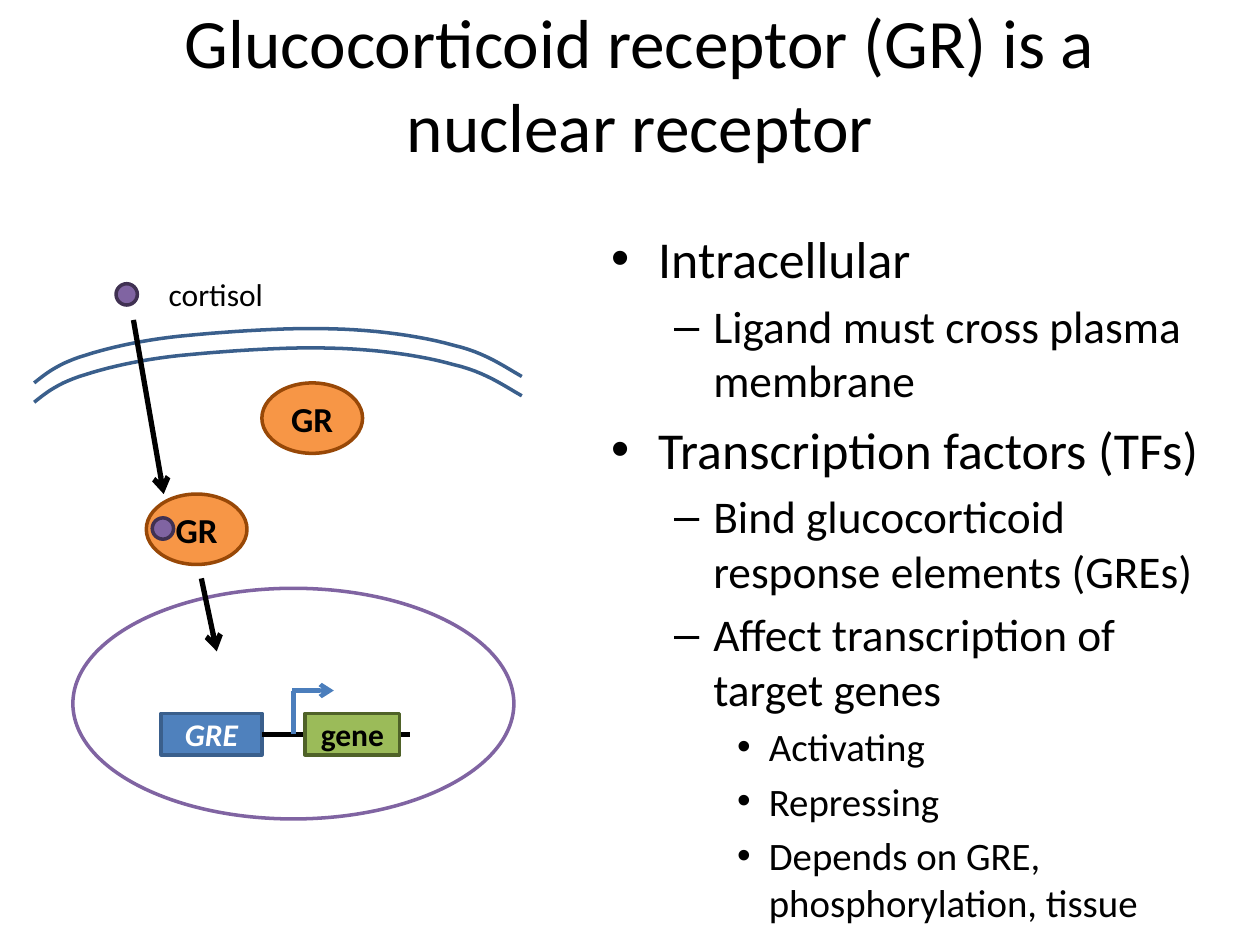
from lxml import etree
from pptx import Presentation
from pptx.dml.color import RGBColor
from pptx.enum.shapes import MSO_CONNECTOR, MSO_SHAPE
from pptx.enum.text import MSO_ANCHOR, PP_ALIGN
from pptx.oxml.ns import qn
from pptx.util import Cm, Pt

RECT, OVAL = MSO_SHAPE.RECTANGLE, MSO_SHAPE.OVAL
STRAIGHT = MSO_CONNECTOR.STRAIGHT
TOP, MIDDLE = MSO_ANCHOR.TOP, MSO_ANCHOR.MIDDLE
LEFT, CENTER = PP_ALIGN.LEFT, PP_ALIGN.CENTER
RIGHT_SIDE = 3

BLACK = RGBColor(0x00, 0x00, 0x00)
WHITE = RGBColor(0xFF, 0xFF, 0xFF)
BLUE = RGBColor(0x4F, 0x81, 0xBD)
DARK_BLUE = RGBColor(0x3A, 0x5F, 0x8C)
ARROW_BLUE = RGBColor(0x4B, 0x7E, 0xBC)
PURPLE = RGBColor(0x80, 0x64, 0xA2)
DARK_PURPLE = RGBColor(0x40, 0x31, 0x52)
ORANGE = RGBColor(0xF7, 0x96, 0x46)
BROWN = RGBColor(0x98, 0x48, 0x07)
GREEN = RGBColor(0x9B, 0xBB, 0x59)
DARK_GREEN = RGBColor(0x4F, 0x62, 0x28)

# Outline level: (bullet, size, left margin in cm, hanging indent in cm)
LEVELS = [("•", 29.6, 0.95, 0.95), ("–", 25.9, 2.06, 0.79), ("•", 22.2, 3.18, 0.64)]
OUTLINE = [
    (0, "Intracellular"),
    (1, "Ligand must cross plasma membrane"),
    (0, "Transcription factors (TFs)"),
    (1, "Bind glucocorticoid response elements (GREs)"),
    (1, "Affect transcription of target genes"),
    (2, "Activating"),
    (2, "Repressing"),
    (2, "Depends on GRE, phosphorylation, tissue"),
]

# Membrane: start point, then three points for each Bézier segment, in cm
MEMBRANE = [
    (0.69, 7.72),
    (0.94, 7.52), (1.19, 7.32), (1.73, 7.16),
    (2.26, 6.99), (3.0, 6.83), (3.81, 6.76),
    (4.65, 6.68), (5.82, 6.6), (6.71, 6.63),
    (7.59, 6.65), (8.51, 6.78), (9.14, 6.96),
    (9.78, 7.11), (10.13, 7.37), (10.52, 7.59),
]
MEMBRANE_GAP = 0.39


def write(paragraph, text, size=18, color=BLACK, bold=False, italic=False, align=LEFT):
    paragraph.alignment = align
    run = paragraph.add_run()
    run.text = text
    font = run.font
    font.name, font.size = "Calibri", Pt(size)
    font.bold, font.italic = bold, italic
    font.color.rgb = color


def bezier(points, steps=12):
    """Points along a chain of cubic Bézier segments."""
    curve = [points[0]]
    for start in range(0, len(points) - 1, 3):
        a, b, c, d = points[start:start + 4]
        for step in range(1, steps + 1):
            t = step / steps
            u = 1 - t
            weights = (u**3, 3 * u * u * t, 3 * u * t * t, t**3)
            curve.append(tuple(
                sum(w * p[axis] for w, p in zip(weights, (a, b, c, d)))
                for axis in (0, 1)))
    return curve


class Diagram:
    def __init__(self, slide):
        self.slide = slide
        self.shapes = slide.shapes

    def outline(self, shape, fill, line, width=2):
        shape.shadow.inherit = False
        if fill is None:
            shape.fill.background()
        else:
            shape.fill.solid()
            shape.fill.fore_color.rgb = fill
        shape.line.color.rgb = line
        shape.line.width = Pt(width)

    def shape(self, kind, box, fill, line, text="", **style):
        shape = self.shapes.add_shape(kind, *map(Cm, box))
        self.outline(shape, fill, line)
        if text:
            frame = shape.text_frame
            frame.margin_left = frame.margin_right = 0
            frame.vertical_anchor = MIDDLE
            write(frame.paragraphs[0], text, align=CENTER, **style)
        return shape

    def text_box(self, box, anchor=TOP, wrap=True):
        frame = self.shapes.add_textbox(*map(Cm, box)).text_frame
        frame.word_wrap = wrap
        frame.vertical_anchor = anchor
        return frame

    def bullets(self, box, items):
        frame = self.text_box(box)
        for index, (level, text) in enumerate(items):
            paragraph = frame.add_paragraph() if index else frame.paragraphs[0]
            bullet, size, margin, hanging = LEVELS[level]
            paragraph.level = level
            paragraph.space_before = Pt(round(0.2 * size, 1) if index else 0)
            props = paragraph._p.get_or_add_pPr()
            props.set("marL", str(Cm(margin)))
            props.set("indent", str(-Cm(hanging)))
            etree.SubElement(props, qn("a:buFont")).set("typeface", "Arial")
            etree.SubElement(props, qn("a:buChar")).set("char", bullet)
            write(paragraph, text, size=size)

    def curve(self, points, color):
        first, *rest = [(Cm(x), Cm(y)) for x, y in bezier(points)]
        builder = self.shapes.build_freeform(*first)
        builder.add_line_segments(rest, close=False)
        self.outline(builder.convert_to_shape(), None, color)

    def line(self, start, end, color=BLACK, width=3, arrow=False):
        line = self.shapes.add_connector(STRAIGHT, *map(Cm, start + end))
        line.line.color.rgb = color
        line.line.width = Pt(width)
        if arrow:
            ln = line.line._get_or_add_ln()
            etree.SubElement(ln, qn("a:tailEnd")).set("type", "arrow")
        etree.SubElement(line._element.spPr, qn("a:effectLst"))
        return line

    def cortisol(self, left, top):
        return self.shape(OVAL, (left, top, 0.43, 0.43), PURPLE, DARK_PURPLE)

    def receptor(self, left, top):
        return self.shape(OVAL, (left, top, 2.03, 1.42), ORANGE, BROWN,
                          "GR", size=20, bold=True)


def main():
    deck = Presentation()
    deck.slide_width, deck.slide_height = Cm(25.4), Cm(19.05)
    diagram = Diagram(deck.slides.add_slide(deck.slide_layouts[6]))

    # Response element
    gre = diagram.shape(RECT, (3.25, 14.38, 2.03, 0.84), BLUE, DARK_BLUE,
                        "GRE", color=WHITE, bold=True, italic=True)

    # Title and outline
    title = diagram.text_box((1.47, 0.08, 22.86, 3.18), anchor=MIDDLE)
    write(title.paragraphs[0], "Glucocorticoid receptor (GR) is a nuclear receptor",
          size=39.6, align=CENTER)
    diagram.bullets((12.07, 4.45, 12.9, 13.54), OUTLINE)

    # Plasma membrane
    for shift in (0, MEMBRANE_GAP):
        diagram.curve([(x, y + shift) for x, y in MEMBRANE], DARK_BLUE)

    # Cortisol enters the cell and binds its receptor
    diagram.cortisol(2.34, 5.72)
    label = diagram.text_box((3.15, 5.41, 2.44, 1.02), wrap=False)
    write(label.paragraphs[0], "cortisol")
    diagram.receptor(5.28, 7.72)
    diagram.line((2.69, 6.45), (3.3, 9.96), arrow=True)
    bound = [diagram.receptor(2.95, 9.96), diagram.cortisol(3.07, 10.44)]
    diagram.shapes.add_group_shape(bound)

    # Nucleus with the target gene
    diagram.shape(OVAL, (1.47, 11.86, 8.89, 4.65), None, PURPLE)
    dna = diagram.line((5.28, 14.8), (8.26, 14.8))
    dna.begin_connect(gre, RIGHT_SIDE)
    diagram.shape(RECT, (6.15, 14.38, 1.91, 0.84), GREEN, DARK_GREEN,
                  "gene", bold=True)

    # Transcription start and entry into the nucleus
    diagram.line((5.92, 14.8), (5.92, 13.92), ARROW_BLUE, 2.5)
    diagram.line((5.89, 13.92), (6.73, 13.92), ARROW_BLUE, 2.5, arrow=True)
    diagram.line((4.06, 11.66), (4.37, 13.13), arrow=True)

    deck.save("out.pptx")


if __name__ == "__main__":
    main()
